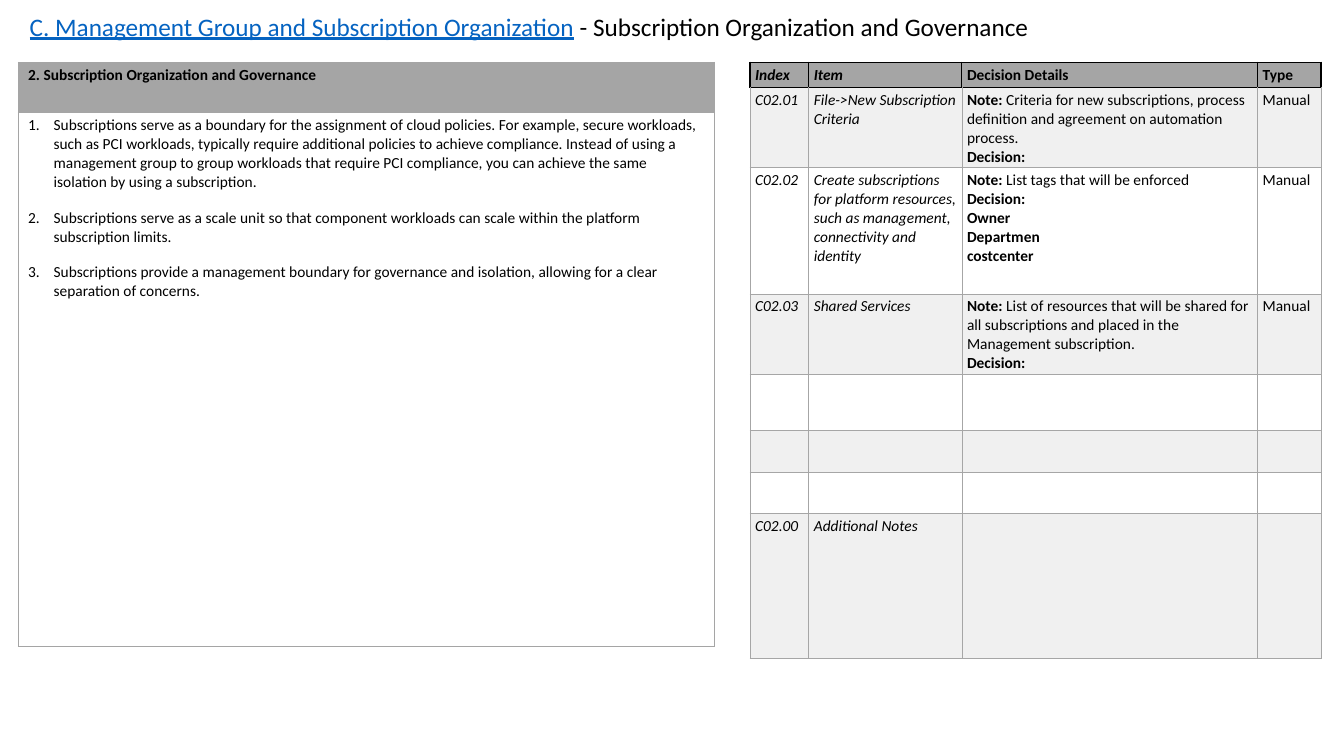
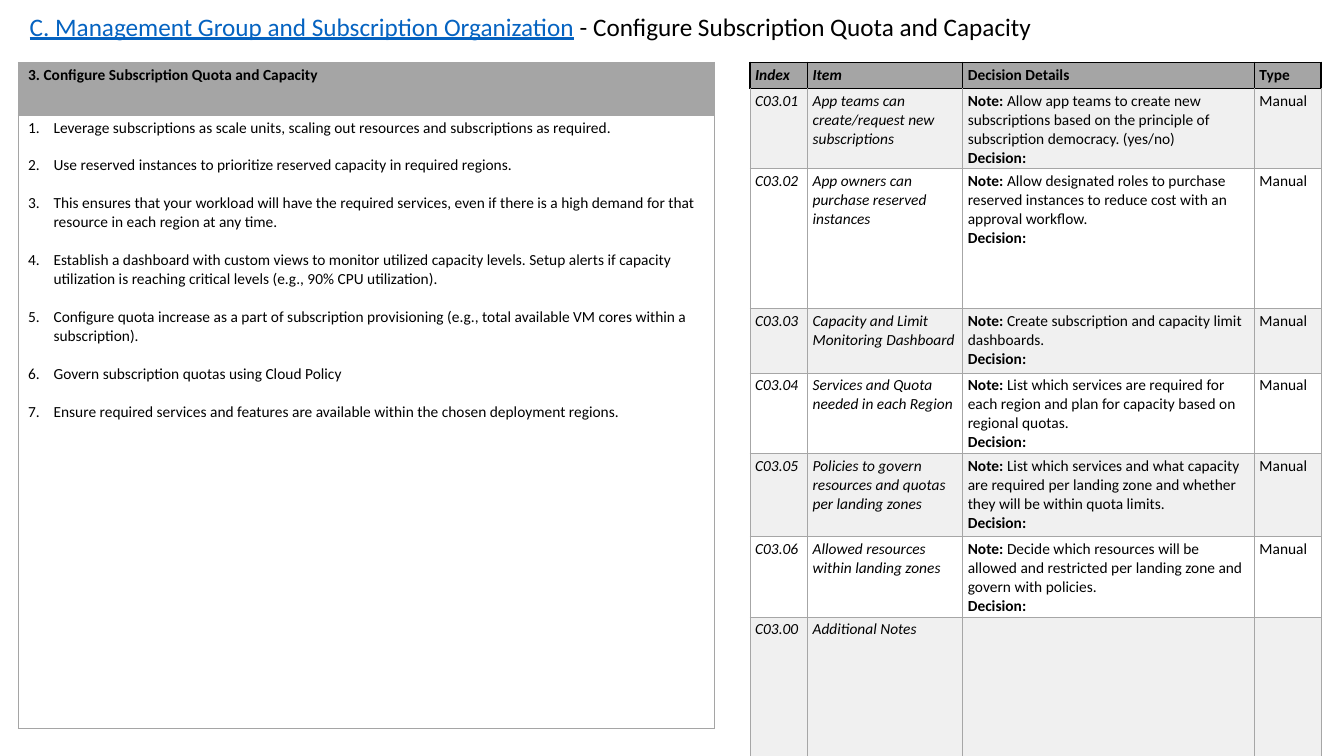
from lxml import etree
from pptx import Presentation
from pptx.dml.color import RGBColor
from pptx.oxml import ns
from pptx.util import Cm, Pt


def color(code):
    return RGBColor.from_string(code)


def sub(parent, tag, **attrs):
    return etree.SubElement(parent, ns.qn(tag), attrs)


class Deck:
    FONT, BLACK, LINK = "Calibri", "000000", "0563C1"
    HEAD, WHITE, BAND, EDGE = "A5A5A5", "FFFFFF", "F0F0F0", "A6A6A6"
    TOP = 1.57

    def __init__(self):
        self.prs = Presentation()
        self.prs.slide_width, self.prs.slide_height = Cm(33.87), Cm(19.05)
        self.slide = None

    def page(self, name):
        """Start a slide and set its title."""
        self.slide = self.prs.slides.add_slide(self.prs.slide_layouts[6])
        box = self.slide.shapes.add_textbox(Cm(0.5), Cm(0.15), Cm(31), Cm(1.02))
        box.text_frame.word_wrap = True
        par = box.text_frame.paragraphs[0]
        self.style(par, size=18)
        link = par.add_run()
        link.text = "C. Management Group and Subscription Organization"
        link.font.underline = True
        link.font.color.rgb = color(self.LINK)
        par.add_run().text = " - " + name

    def style(self, par, size=11, bold=None, ital=None):
        font = par.font
        font.name, font.size, font.bold, font.italic = self.FONT, Pt(size), bold, ital
        font.color.rgb = color(self.BLACK)

    def label(self, cell, lines, bold=False, ital=False):
        """Put lines into a cell; a (label, body) pair gets a bold label."""
        frame = cell.text_frame
        for num, line in enumerate(lines):
            par = frame.add_paragraph() if num else frame.paragraphs[0]
            if isinstance(line, tuple):
                self.style(par, ital=ital)
                for part, heavy in zip(line, (True, False)):
                    run = par.add_run()
                    run.text, run.font.bold = part, heavy
            else:
                par.text = line
                self.style(par, bold=bold, ital=ital)

    def grid(self, left, cols, rows, pad):
        """Add a table with set column widths, row heights and side margins."""
        tab = self.slide.shapes.add_table(
            len(rows), len(cols), Cm(left), Cm(self.TOP),
            Cm(sum(cols)), Cm(sum(rows))).table
        tab.first_row = tab.horz_banding = False
        for col, width in zip(tab.columns, cols):
            col.width = Cm(width)
        for row, height in zip(tab.rows, rows):
            row.height = Cm(height)
        for cell in tab.iter_cells():
            cell.margin_left = cell.margin_right = Cm(pad)
            cell.margin_top = cell.margin_bottom = Cm(0.08)
        return tab

    def paint(self, cell, fill, edge, width=0.5, top=None):
        """Draw the borders and fill of a cell; top is an optional (color, width)."""
        props = cell._tc.get_or_add_tcPr()
        for side in "LRTB":
            code, wide = top if top and side == "T" else (edge, width)
            line = sub(props, "a:ln" + side, w=str(Pt(wide)))
            sub(sub(line, "a:solidFill"), "a:srgbClr", val=code)
        cell.fill.solid()
        cell.fill.fore_color.rgb = color(fill)

    def panel(self, head, items, rows, gap):
        """Add the left table: a heading over a numbered list."""
        tab = self.grid(0.46, [17.53], rows, 0.25)
        top, body = tab.cell(0, 0), tab.cell(1, 0)
        self.paint(top, self.HEAD, self.HEAD)
        self.paint(body, self.WHITE, self.HEAD)
        self.label(top, [head], bold=True)
        self.label(body, items)
        for num, par in enumerate(body.text_frame.paragraphs):
            props = par._p.get_or_add_pPr()
            props.set("marL", str(Cm(0.64)))
            props.set("indent", str(-Cm(0.64)))
            auto = etree.Element(ns.qn("a:buAutoNum"), {"type": "arabicPeriod"})
            props.insert(0, auto)
            if num:
                par.space_before = Pt(gap)

    def log(self, data, cols, rows):
        """Add the right table: decisions by index, item, details and type."""
        tab = self.grid(18.9, cols, rows, 0.13)
        heads = ["Index"], ["Item"], ["Decision Details"], ["Type"]
        for y, texts in enumerate([heads] + data):
            for x, lines in enumerate(texts):
                cell = tab.cell(y, x)
                if y == 0:
                    self.paint(cell, self.HEAD, self.BLACK, 1)
                else:
                    fill = self.BAND if y % 2 else self.WHITE
                    top = (self.BLACK, 1) if y == 1 else None
                    self.paint(cell, fill, self.EDGE, top=top)
                self.label(cell, lines, bold=y == 0 or x == 2, ital=x < 2)


def entry(index, item, note, *more):
    """One decision row."""
    return [index], [item], [("Note: ", note), "Decision:", *more], ["Manual"]


def notes(index):
    return [index], ["Additional Notes"], [""], [""]


BLANK = ([""],) * 4


def main():
    deck = Deck()

    # Organization and governance
    name = "Subscription Organization and Governance"
    deck.page(name)
    deck.panel("2. " + name, [
        "Subscriptions serve as a boundary for the assignment of cloud policies. "
        "For example, secure workloads, such as PCI workloads, typically require "
        "additional policies to achieve compliance. Instead of using a management "
        "group to group workloads that require PCI compliance, you can achieve the "
        "same isolation by using a subscription.",
        "Subscriptions serve as a scale unit so that component workloads can scale "
        "within the platform subscription limits.",
        "Subscriptions provide a management boundary for governance and isolation, "
        "allowing for a clear separation of concerns.",
    ], rows=[1.26, 13.46], gap=12)
    deck.log([
        entry("C02.01", "File->New Subscription Criteria",
              "Criteria for new subscriptions, process definition and agreement on "
              "automation process."),
        entry("C02.02", "Create subscriptions for platform resources, such as "
              "management, connectivity and identity",
              "List tags that will be enforced", "Owner", "Departmen", "costcenter"),
        entry("C02.03", "Shared Services",
              "List of resources that will be shared for all subscriptions and "
              "placed in the Management subscription."),
        BLANK, BLANK, BLANK,
        notes("C02.00"),
    ], cols=[1.48, 3.86, 7.45, 1.6],
        rows=[0.63, 2.02, 3.18, 2.02, 1.41, 1.05, 1.05, 3.66])

    # Quota and capacity
    name = "Configure Subscription Quota and Capacity"
    deck.page(name)
    deck.panel("3. " + name, [
        "Leverage subscriptions as scale units, scaling out resources and "
        "subscriptions as required.",
        "Use reserved instances to prioritize reserved capacity in required regions.",
        "This ensures that your workload will have the required services, even if "
        "there is a high demand for that resource in each region at any time.",
        "Establish a dashboard with custom views to monitor utilized capacity "
        "levels. Setup alerts if capacity utilization is reaching critical levels "
        "(e.g., 90% CPU utilization).",
        "Configure quota increase as a part of subscription provisioning (e.g., "
        "total available VM cores within a subscription).",
        "Govern subscription quotas using Cloud Policy",
        "Ensure required services and features are available within the chosen "
        "deployment regions.",
    ], rows=[1.33, 15.46], gap=13.5)
    deck.log([
        entry("C03.01", "App teams can create/request new subscriptions",
              "Allow app teams to create new subscriptions based on the principle "
              "of subscription democracy. (yes/no)"),
        entry("C03.02", "App owners can purchase reserved instances",
              "Allow designated roles to purchase reserved instances to reduce cost "
              "with an approval workflow."),
        entry("C03.03", "Capacity and Limit Monitoring Dashboard",
              "Create subscription and capacity limit dashboards."),
        entry("C03.04", "Services and Quota needed in each Region",
              "List which services are required for each region and plan for "
              "capacity based on regional quotas."),
        entry("C03.05", "Policies to govern resources and quotas per landing zones",
              "List which services and what capacity are required per landing zone "
              "and whether they will be within quota limits."),
        entry("C03.06", "Allowed resources within landing zones",
              "Decide which resources will be allowed and restricted per landing "
              "zone and govern with policies."),
        notes("C03.00"),
    ], cols=[1.45, 3.91, 7.35, 1.68],
        rows=[0.65, 2.02, 3.53, 1.62, 2.02, 2.1, 2.02, 4.06])

    deck.prs.save("out.pptx")


if __name__ == "__main__":
    main()
